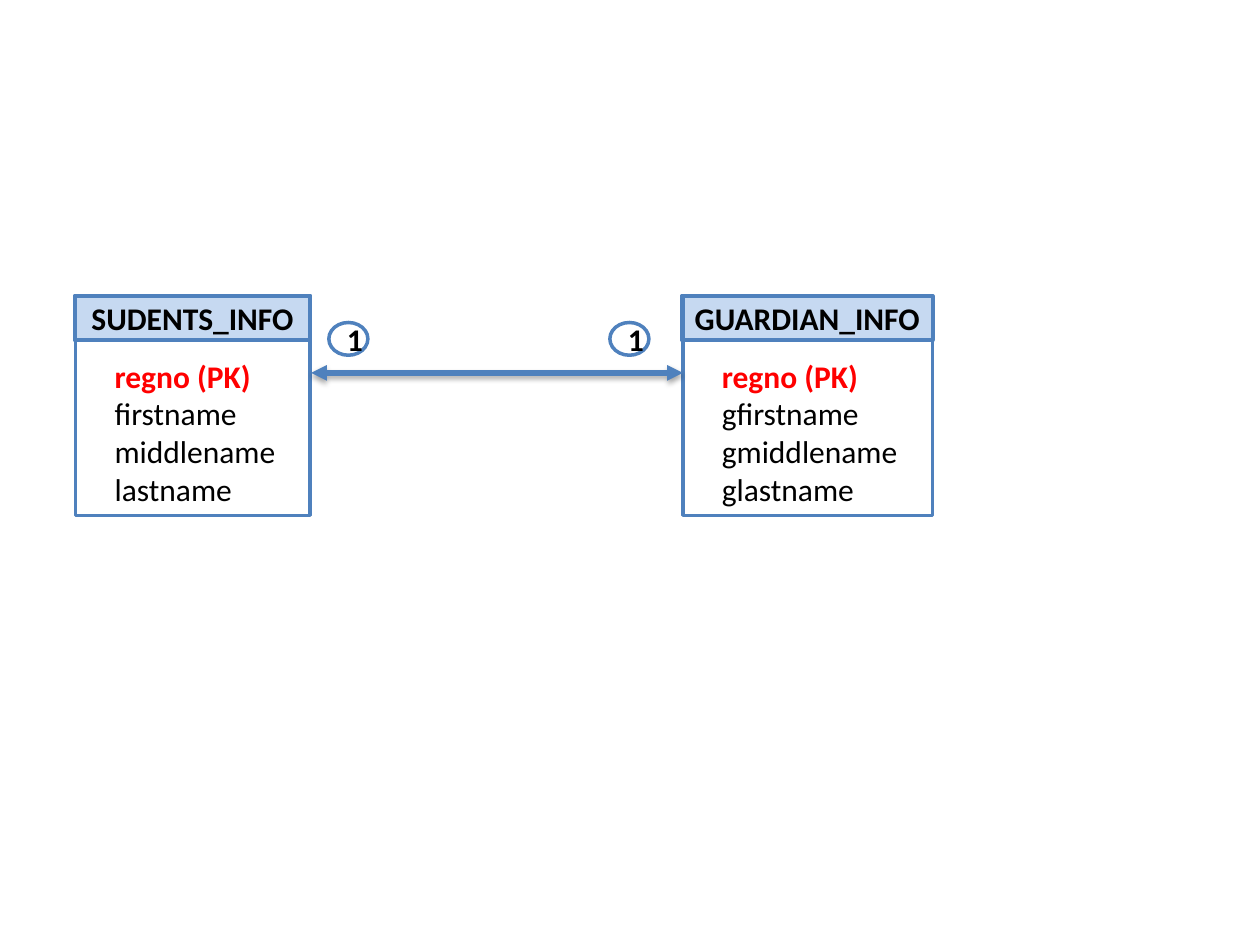
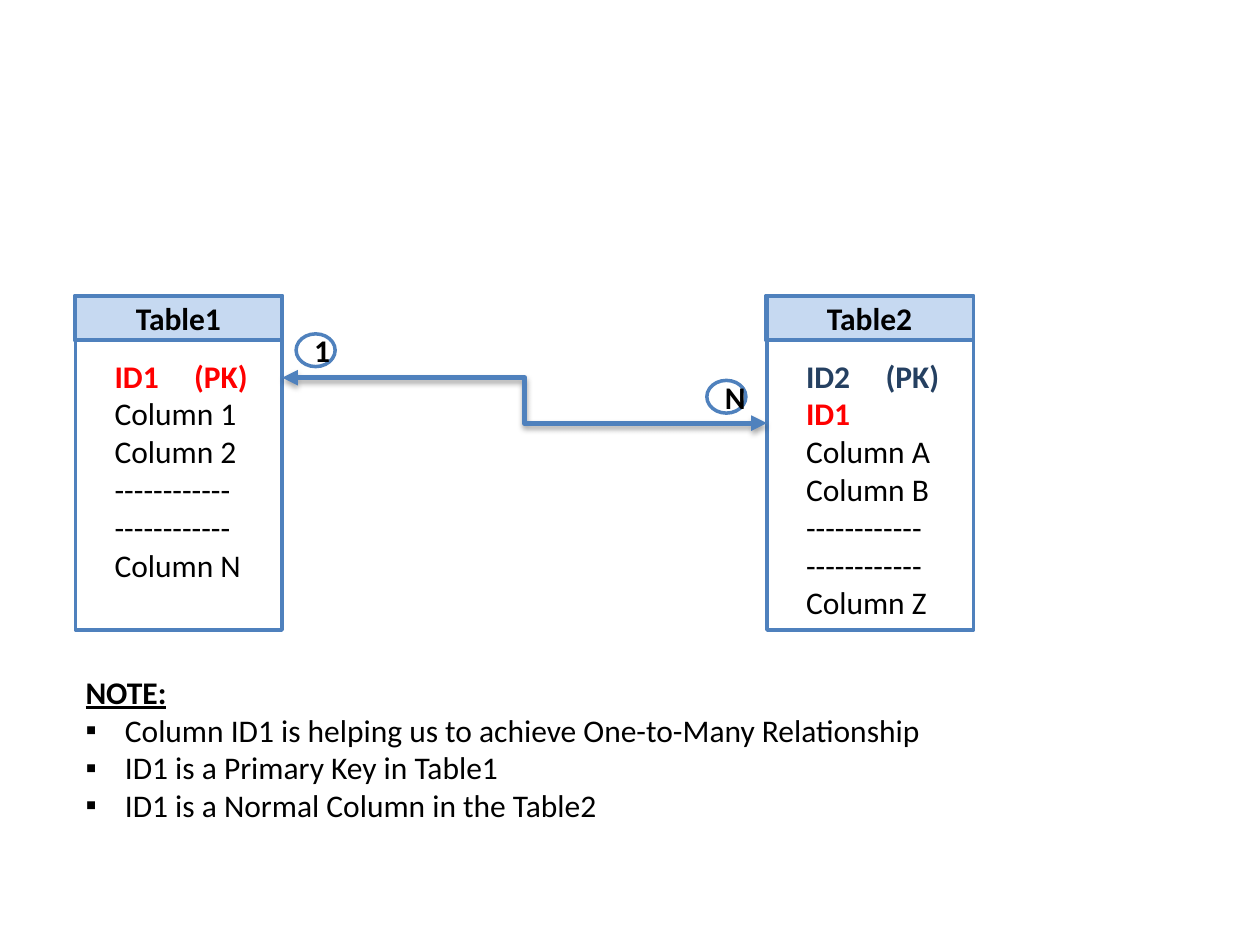
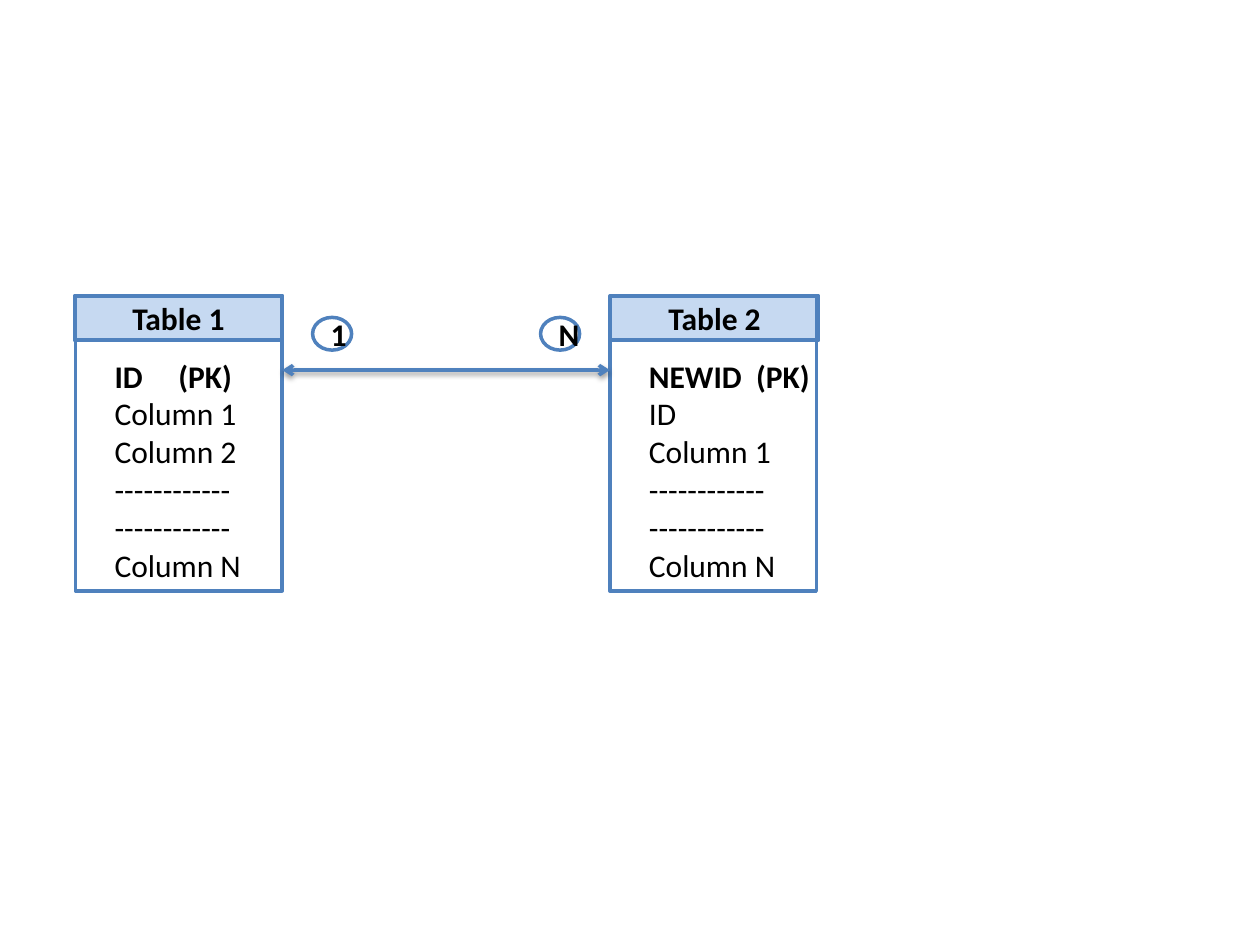
from pptx import Presentation
from pptx.dml.color import RGBColor
from pptx.enum.shapes import MSO_CONNECTOR, MSO_SHAPE
from pptx.enum.text import MSO_ANCHOR, PP_ALIGN
from pptx.oxml import parse_xml
from pptx.oxml.ns import nsdecls
from pptx.util import Pt

BLACK = RGBColor(0x00, 0x00, 0x00)
RED = RGBColor(0xFF, 0x00, 0x00)
NAVY = RGBColor(0x25, 0x40, 0x61)
BLUE = RGBColor(0x4F, 0x81, 0xBD)
PALE_BLUE = RGBColor(0xC6, 0xD9, 0xF1)

FONT = "Calibri"
FONT_SIZE = 18
LINE_HEIGHT = 21.8
INSET = 7.2
TABLE_TOP = 169.2
HEADER_HEIGHT = 25.2
COLUMNS_TOP = 200.2
COLUMNS_INDENT = 15.2
BADGE_WIDTH, BADGE_HEIGHT = 22.32, 18.72
DASHES = "-" * 12


def add_run(paragraph, text, color=BLACK, bold=False):
    """Add a run in the deck's font and return it."""
    run = paragraph.add_run()
    run.text = text
    run.font.name = FONT
    run.font.size = Pt(FONT_SIZE)
    run.font.bold = bold
    run.font.color.rgb = color
    return run


def add_outlined(slide, kind, left, top, width, height, fill=None, label=None):
    """Add a blue-outlined shape with an optional fill and bold label."""
    shape = slide.shapes.add_shape(kind, Pt(left), Pt(top), Pt(width), Pt(height))
    shape.shadow.inherit = False
    shape.line.color.rgb = BLUE
    shape.line.width = Pt(2)
    if fill is None:
        shape.fill.background()
    else:
        shape.fill.solid()
        shape.fill.fore_color.rgb = fill
    if label:
        shape.text_frame.vertical_anchor = MSO_ANCHOR.MIDDLE
        paragraph = shape.text_frame.paragraphs[0]
        paragraph.alignment = PP_ALIGN.CENTER
        add_run(paragraph, label, bold=True)


# Table: name, header left, frame left, frame width, text width, tab stop, keys, columns
# Key: text, colour. Badge: label, left, top.
# Link: connector kind, start, end, line width, arrowhead, shadow opacity, shadow distance
DIAGRAMS = [
    {
        "tables": [
            ("SUDENTS_INFO", 42.5, 43.2, 134, 107.3, None,
             [("regno (PK)", RED)], ["firstname", "middlename", "lastname"]),
            ("GUARDIAN_INFO", 389.5, 390.2, 142.6, 116, None,
             [("regno (PK)", RED)], ["gfirstname", "gmiddlename", "glastname"]),
        ],
        "frame_height": 125.3,
        "badges": [("1", 187.9, 184.3), ("1", 348.5, 184.3)],
        "link": (MSO_CONNECTOR.STRAIGHT, (177.8, 213.1), (390.2, 213.1),
                 3, "triangle", 35, 1.8),
    },
    {
        "tables": [
            ("Table1", 42.5, 43.2, 118, 92.2, 45.5,
             [("ID1\t(PK)", RED)],
             ["Column 1", "Column 2", DASHES, DASHES, "Column N"]),
            ("Table2", 437.4, 438.3, 118, 92.2, 45.5,
             [("ID2\t(PK)", NAVY), ("ID1", RED)],
             ["Column A", "Column B", DASHES, DASHES, "Column Z"]),
        ],
        "frame_height": 190.8,
        "badges": [("N", 403.9, 217.4), ("1", 169.2, 190.8)],
        "link": (MSO_CONNECTOR.ELBOW, (161.3, 215.8), (438.3, 241.8),
                 3, "triangle", 35, 1.8),
    },
    {
        "tables": [
            ("Table 1", 42.5, 43.2, 118, 87.8, 36.4,
             [("ID\t(PK)", BLACK)],
             ["Column 1", "Column 2", DASHES, DASHES, "Column N"]),
            ("Table 2", 348.9, 348.5, 118, 107.3, 61.2,
             [("NEWID\t(PK)", BLACK)],
             ["ID", "Column 1", DASHES, DASHES, "Column N"]),
        ],
        "frame_height": 168.5,
        "badges": [("1", 178.6, 181.4), ("N", 308.9, 181.4)],
        "link": (MSO_CONNECTOR.STRAIGHT, (161.3, 211.5), (348.5, 211.5),
                 2, "arrow", 38, 1.6),
    },
]

NOTES = [
    "Column ID1 is helping us to achieve One-to-Many Relationship",
    "ID1 is a Primary Key in Table1",
    "ID1 is a Normal Column in the Table2",
]

prs = Presentation()
prs.slide_width, prs.slide_height = Pt(720), Pt(540)
blank_layout = prs.slide_layouts[6]

for diagram in DIAGRAMS:
    slide = prs.slides.add_slide(blank_layout)

    for name, header_left, left, width, text_width, tab, keys, columns in diagram["tables"]:
        add_outlined(slide, MSO_SHAPE.RECTANGLE, header_left, TABLE_TOP,
                     width + 1, HEADER_HEIGHT, PALE_BLUE, name)
        add_outlined(slide, MSO_SHAPE.RECTANGLE, left, TABLE_TOP,
                     width, diagram["frame_height"])

        rows = [(text, color, True) for text, color in keys]
        rows += [(text, BLACK, False) for text in columns]
        box = slide.shapes.add_textbox(
            Pt(left + COLUMNS_INDENT), Pt(COLUMNS_TOP), Pt(text_width),
            Pt(len(rows) * LINE_HEIGHT + INSET))
        frame = box.text_frame
        frame.word_wrap = True
        frame.margin_right = 0
        for index, (text, color, bold) in enumerate(rows):
            paragraph = frame.add_paragraph() if index else frame.paragraphs[0]
            add_run(paragraph, text, color, bold)
            if "\t" in text:
                paragraph._p.get_or_add_pPr().append(parse_xml(
                    f'<a:tabLst {nsdecls("a")}><a:tab pos="{Pt(tab)}" algn="l"/></a:tabLst>'))

    for label, left, top in diagram["badges"]:
        add_outlined(slide, MSO_SHAPE.FLOWCHART_CONNECTOR, left, top,
                     BADGE_WIDTH, BADGE_HEIGHT, label=label)

    kind, start, end, weight, arrowhead, opacity, distance = diagram["link"]
    link = slide.shapes.add_connector(kind, *map(Pt, start + end))
    link.line.color.rgb = BLUE
    link.line.width = Pt(weight)
    outline = link.line._get_or_add_ln()
    for tag in ("headEnd", "tailEnd"):
        outline.append(parse_xml(f'<a:{tag} {nsdecls("a")} type="{arrowhead}"/>'))
    link._element.spPr.append(parse_xml(
        f'<a:effectLst {nsdecls("a")}>'
        f'<a:outerShdw blurRad="{Pt(3.1)}" dist="{Pt(distance)}" dir="5400000" rotWithShape="0">'
        f'<a:srgbClr val="{BLACK}"><a:alpha val="{opacity * 1000}"/></a:srgbClr>'
        '</a:outerShdw></a:effectLst>'))

# Note below the one-to-many diagram
note = prs.slides[1].shapes.add_textbox(Pt(41.8), Pt(380.9), Pt(501), Pt(94.3)).text_frame
note.word_wrap = True
add_run(note.paragraphs[0], "NOTE:", bold=True).font.underline = True
for text in NOTES:
    paragraph = note.add_paragraph()
    add_run(paragraph, text)
    properties = paragraph._p.get_or_add_pPr()
    properties.set("marL", str(Pt(22.5)))
    properties.set("indent", str(-Pt(22.5)))
    properties.append(parse_xml(f'<a:buFont {nsdecls("a")} typeface="Arial"/>'))
    properties.append(parse_xml(f'<a:buChar {nsdecls("a")} char="▪"/>'))

prs.save("out.pptx")
